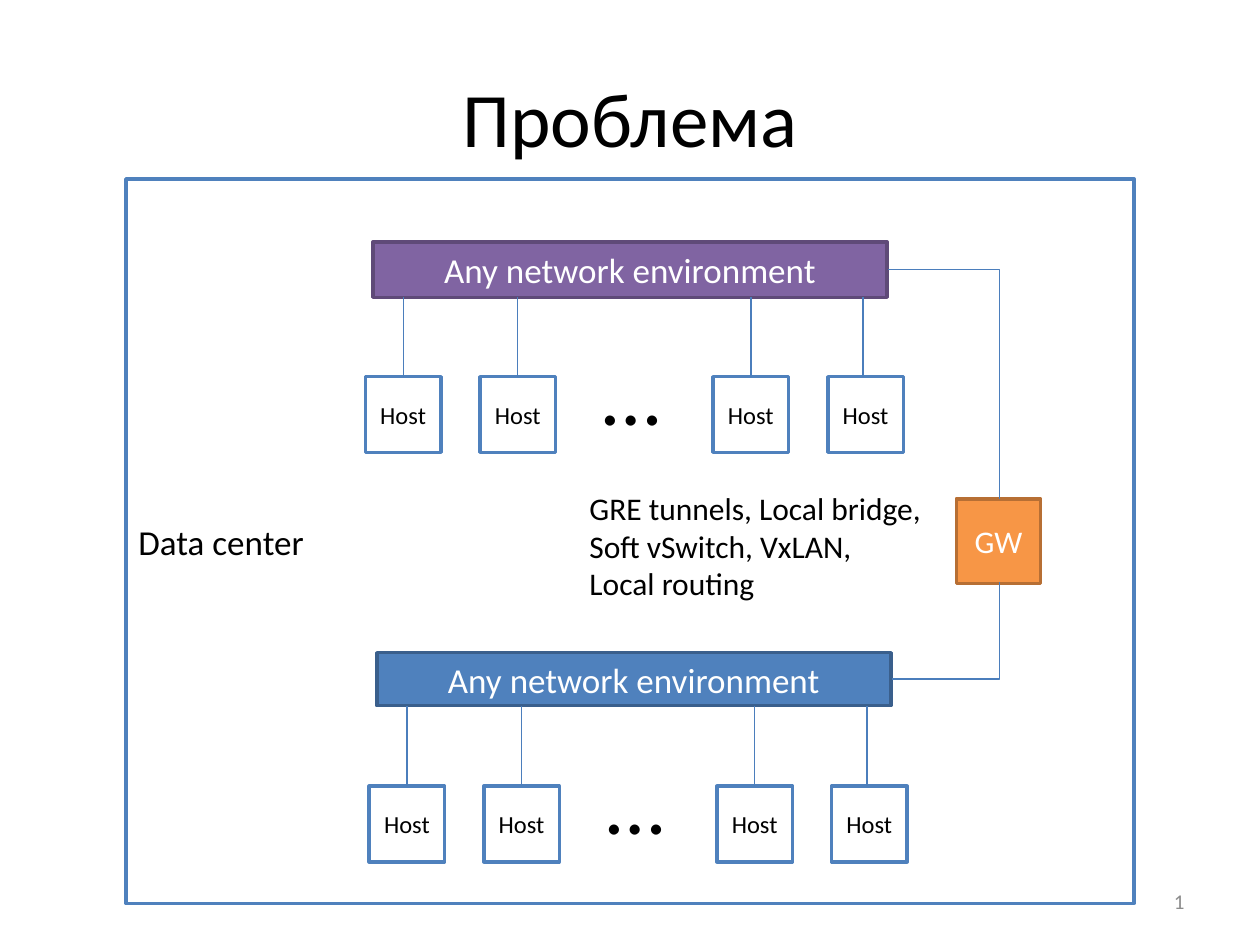
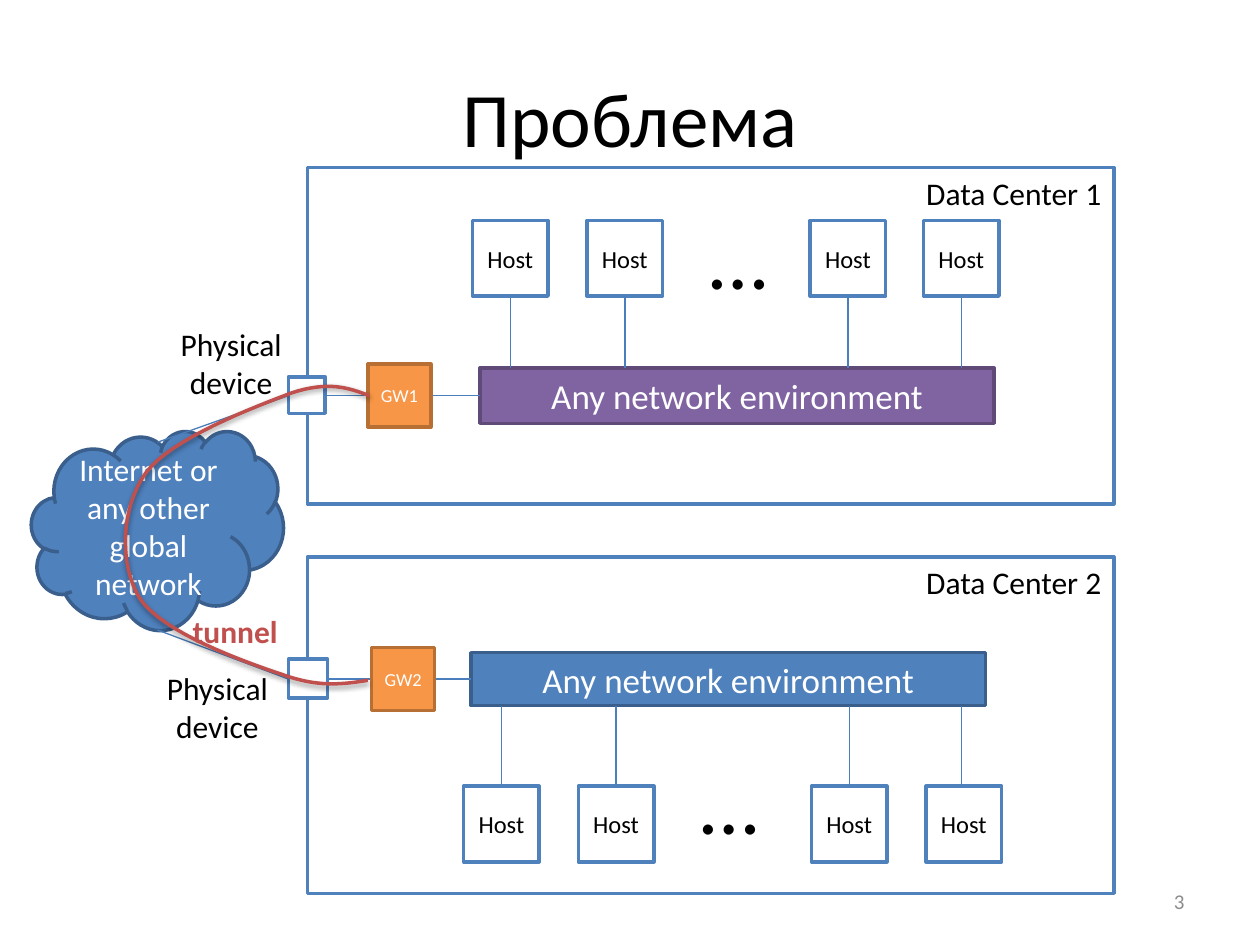
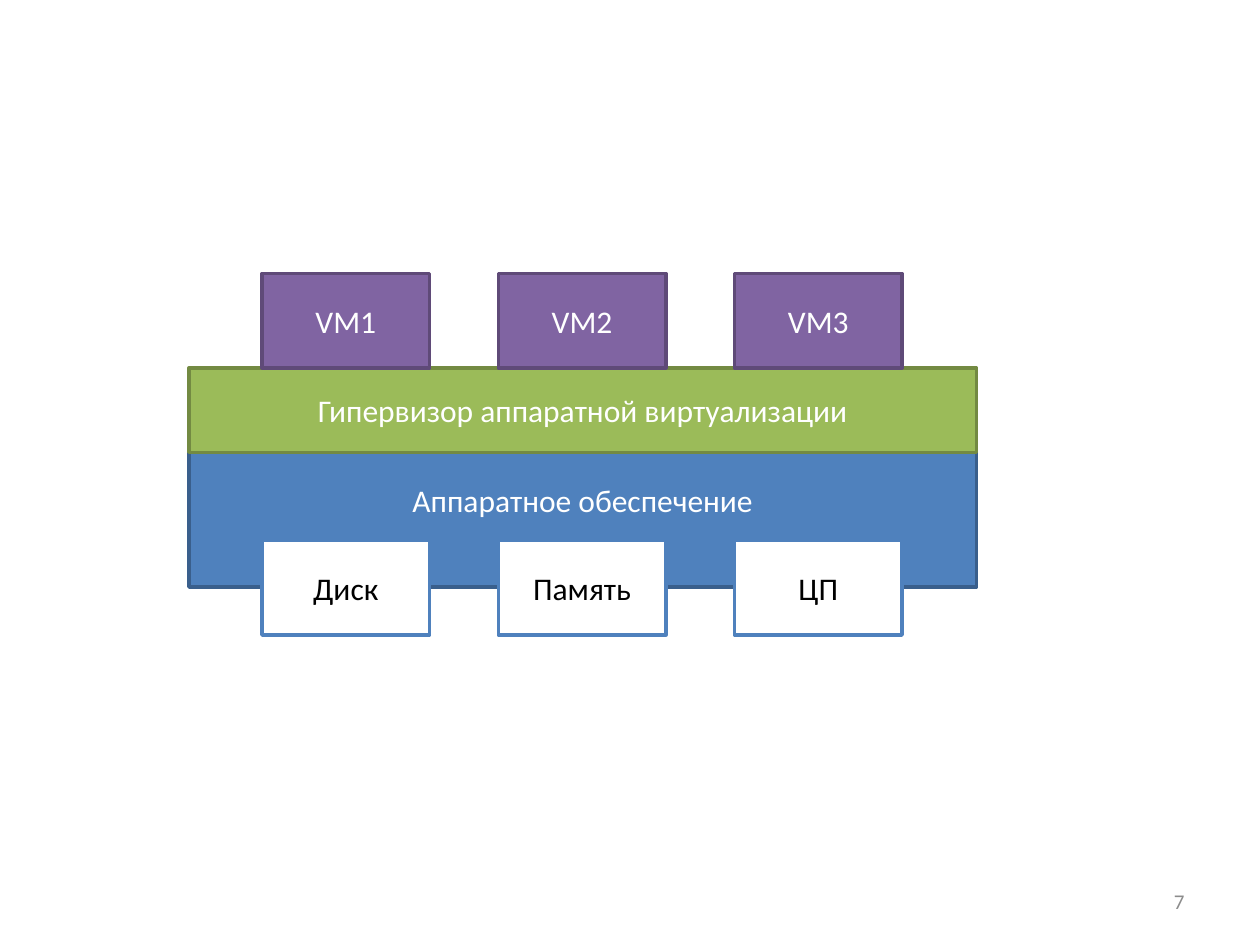
from lxml.etree import SubElement
from pptx import Presentation
from pptx.dml.color import RGBColor
from pptx.enum.shapes import MSO_CONNECTOR, MSO_SHAPE
from pptx.enum.text import MSO_ANCHOR, PP_ALIGN
from pptx.oxml.ns import qn
from pptx.util import Inches, Pt

FONT = "Calibri"
BLACK, WHITE, GREY, RED, WIRE = "000000", "FFFFFF", "8C8C8C", "C0504D", "4B7EBC"
OUTLINED = (WHITE, "4F81BD", BLACK)
BLUE = ("4F81BD", "3A5F8C", WHITE)
PURPLE = ("8064A2", "5F4A78", WHITE)
ORANGE = ("F79646", "B76F34", WHITE)
GREEN = ("9BBB59", "738A42", WHITE)
LEFT, CENTER, RIGHT = PP_ALIGN.LEFT, PP_ALIGN.CENTER, PP_ALIGN.RIGHT
TOP, MIDDLE = MSO_ANCHOR.TOP, MSO_ANCHOR.MIDDLE

TITLE = "Проблема"
NETWORK = "Any network environment"
TUNNEL_KINDS = ("GRE tunnels, Local bridge,", "Soft vSwitch, VxLAN,", "Local routing")
BAR_WIDTH, HOST_SIZE = 4.08, 0.6
WIDE_HOSTS = (0, 0.91, 2.76, 3.67)
CLOSE_HOSTS = (0, 0.91, 2.68, 3.58)

SINGLE_CENTER = [
    dict(left=2.99, top=5.18, height=0.42, style=BLUE, host_top=6.24),
    dict(left=2.96, top=1.92, height=0.44, style=PURPLE, host_top=2.99),
]
TWO_CENTERS = [
    dict(left=3.74, top=5.18, height=0.42, style=BLUE, host_top=6.24),
    dict(left=3.81, top=2.92, height=0.44, style=PURPLE, host_top=1.75,
         offsets=CLOSE_HOSTS, dots_shift=-0.17),
]
CENTER_FRAMES = [("Data Center 2", 4.42), ("Data Center 1", 1.33)]
GATEWAY_LINKS = [
    ((1.25, 3.51), (2.29, 3.14)), ((2.58, 3.14), (3.81, 3.14)),
    ((2.6, 5.39), (3.74, 5.39)), ((2.29, 5.39), (1.25, 5)),
]
DEVICES = [(2.29, 2.99, 0.29), (2.29, 5.23, 0.31)]
DEVICE_LABELS = [(1.25, 2.53), (1.14, 5.26)]
GATEWAYS = [("GW1", 2.92, 2.89), ("GW2", 2.95, 5.14)]
TUNNEL_START = (2.92, 5.4)
TUNNEL_CURVES = [
    ((2.72, 5.43), (2.53, 5.46), (2.23, 5.35)),
    ((1.93, 5.25), (1.29, 5.02), (1.11, 4.75)),
    ((0.94, 4.48), (0.96, 4.02), (1.16, 3.75)),
    ((1.36, 3.48), (2.02, 3.23), (2.31, 3.12)),
    ((2.61, 3.02), (2.77, 3.08), (2.93, 3.14)),
]
STACK_ROWS = [
    (("VM1", "VM2", "VM3"), 2.17, PURPLE),
    (("Диск", "Память", "ЦП"), 4.29, OUTLINED),
]


def color(value):
    return RGBColor.from_string(value)


def write(frame, lines, size, ink, align, anchor, bold=False):
    frame.word_wrap = True
    frame.vertical_anchor = anchor
    para = frame.paragraphs[0]
    para.alignment = align
    for number, line in enumerate(lines):
        if number:
            para.add_line_break()
        span = para.add_run()
        span.text = line
        span.font.name = FONT
        span.font.size = Pt(size)
        span.font.bold = bold
        span.font.color.rgb = color(ink)


def add_text(page, at, *lines, size=18, ink=BLACK, align=LEFT, anchor=TOP, bold=False):
    box = page.shapes.add_textbox(*map(Inches, at))
    write(box.text_frame, lines, size, ink, align, anchor, bold)


def add_box(page, at, style, text="", size=18, align=CENTER, anchor=MIDDLE,
            kind=MSO_SHAPE.RECTANGLE):
    fill, line, ink = style
    box = page.shapes.add_shape(kind, *map(Inches, at))
    box.shadow.inherit = False
    box.fill.solid()
    box.fill.fore_color.rgb = color(fill)
    box.line.color.rgb = color(line)
    box.line.width = Pt(2)
    if text:
        write(box.text_frame, [text], size, ink, align, anchor)
    return box


def add_wire(page, start, end, bent=False):
    kind = MSO_CONNECTOR.ELBOW if bent else MSO_CONNECTOR.STRAIGHT
    wire = page.shapes.add_connector(kind, *map(Inches, start + end))
    wire.line.color.rgb = color(WIRE)
    wire.line.width = Pt(0.75)
    properties = wire._element.spPr
    SubElement(properties, qn("a:effectLst"))
    if bent:
        properties.find(qn("a:prstGeom")).set("prst", "bentConnector2")


def add_network(page, left, top, height, style, host_top, offsets=WIDE_HOSTS, dots_shift=-0.33):
    below = host_top > top
    bar_edge = top + height if below else top
    host_edge = host_top if below else host_top + HOST_SIZE
    add_box(page, (left, top, BAR_WIDTH, height), style, NETWORK, 20)
    for offset in offsets:
        host_left = left - 0.06 + offset
        middle = host_left + (0.28 if offset == WIDE_HOSTS[-1] else 0.3)
        add_box(page, (host_left, host_top, HOST_SIZE, HOST_SIZE), OUTLINED, "Host", 14)
        add_wire(page, (middle, host_edge), (middle, bar_edge))
    add_text(page, (left + 1.59, host_top + dots_shift, 0.92, 0.91), "…", size=48, align=CENTER)


def curve_points(start, curves, steps=16):
    for first, second, end in curves:
        for step in range(1, steps + 1):
            t = step / steps
            weights = ((1 - t) ** 3, 3 * t * (1 - t) ** 2, 3 * t * t * (1 - t), t ** 3)
            corners = (start, first, second, end)
            yield tuple(Inches(sum(w * c[axis] for w, c in zip(weights, corners)))
                        for axis in (0, 1))
        start = end


def add_tunnel(page):
    builder = page.shapes.build_freeform(*map(Inches, TUNNEL_START))
    builder.add_line_segments(list(curve_points(TUNNEL_START, TUNNEL_CURVES)), close=False)
    tunnel = builder.convert_to_shape()
    tunnel.fill.background()
    tunnel.line.color.rgb = color(RED)
    tunnel.line.width = Pt(2)
    effects = SubElement(tunnel._element.spPr, qn("a:effectLst"))
    shadow = SubElement(effects, qn("a:outerShdw"), blurRad="40000", dist="20000",
                        dir="5400000", rotWithShape="0")
    tint = SubElement(shadow, qn("a:srgbClr"), val=BLACK)
    SubElement(tint, qn("a:alpha"), val="38000")


def add_page(deck, number, title=""):
    page = deck.slides.add_slide(deck.slide_layouts[5 if title else 6])
    if title:
        heading = page.shapes.title
        heading.left, heading.top, heading.width, heading.height = map(Inches, (0.5, 0.3, 9, 1.25))
        write(heading.text_frame, [title], 44, BLACK, CENTER, MIDDLE)
    add_text(page, (7.17, 6.95, 2.33, 0.4), str(number), size=12, ink=GREY,
             align=RIGHT, anchor=MIDDLE)
    return page


def build_single_center(deck):
    page = add_page(deck, 1, TITLE)
    add_box(page, (1, 1.42, 8, 5.75), OUTLINED, "Data center", 20, LEFT)
    for network in SINGLE_CENTER:
        add_network(page, **network)
    add_box(page, (7.59, 3.96, 0.67, 0.67), ORANGE, "GW")
    add_wire(page, (7.05, 2.14), (7.93, 3.96), bent=True)
    add_wire(page, (7.08, 5.39), (7.93, 4.62), bent=True)
    add_text(page, (4.58, 3.83, 3.02, 1.01), *TUNNEL_KINDS)


def build_two_centers(deck):
    page = add_page(deck, 3, TITLE)
    for name, top in CENTER_FRAMES:
        add_box(page, (2.44, top, 6.4, 2.67), OUTLINED, name, 18, RIGHT, TOP)
    for network in TWO_CENTERS:
        add_network(page, **network)
    add_box(page, (0.25, 3.42, 2, 1.58), BLUE, "Internet or any other global network",
            kind=MSO_SHAPE.CLOUD)
    for left, top, size in DEVICES:
        add_box(page, (left, top, size, size), OUTLINED)
    for start, end in GATEWAY_LINKS:
        add_wire(page, start, end)
    for left, top in DEVICE_LABELS:
        add_text(page, (left, top, 1.17, 0.71), "Physical device", align=CENTER)
    for name, left, top in GATEWAYS:
        add_box(page, (left, top, 0.5, 0.5), ORANGE, name, 10.5)
    add_tunnel(page)
    add_text(page, (1.43, 4.81, 1.05, 0.4), "tunnel", ink=RED, bold=True)


def build_stack(deck):
    page = add_page(deck, 7)
    hardware = add_box(page, (1.5, 3.58, 6.25, 1.08), BLUE, "Аппаратное обеспечение")
    hardware.text_frame.margin_bottom = Inches(0.35)
    add_box(page, (1.5, 2.92, 6.25, 0.67), GREEN, "Гипервизор аппаратной виртуализации")
    for names, top, style in STACK_ROWS:
        for column, name in enumerate(names):
            add_box(page, (2.08 + column * 1.875, top, 1.33, 0.75), style, name)


def main():
    """Build the three network and virtualization slides."""
    deck = Presentation()
    deck.slide_width, deck.slide_height = Inches(10), Inches(7.5)
    build_single_center(deck)
    build_two_centers(deck)
    build_stack(deck)
    deck.save("out.pptx")


if __name__ == "__main__":
    main()
